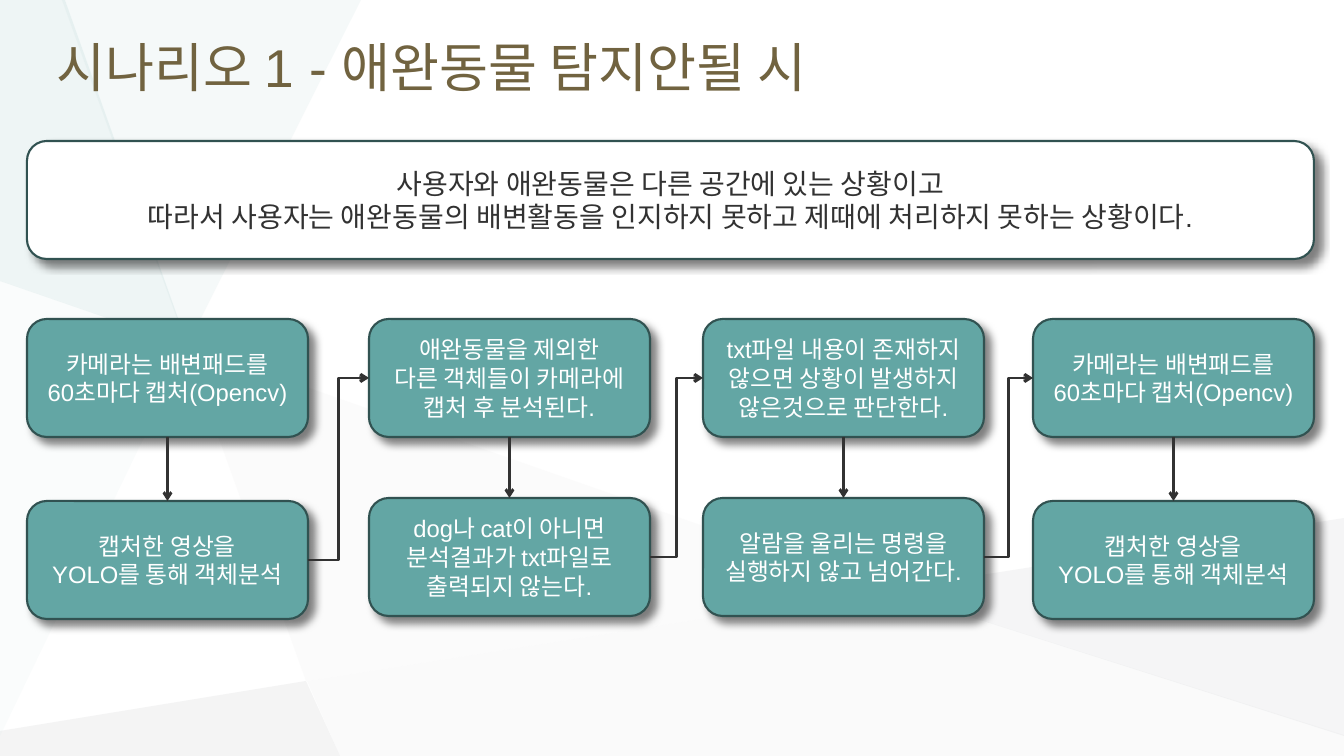
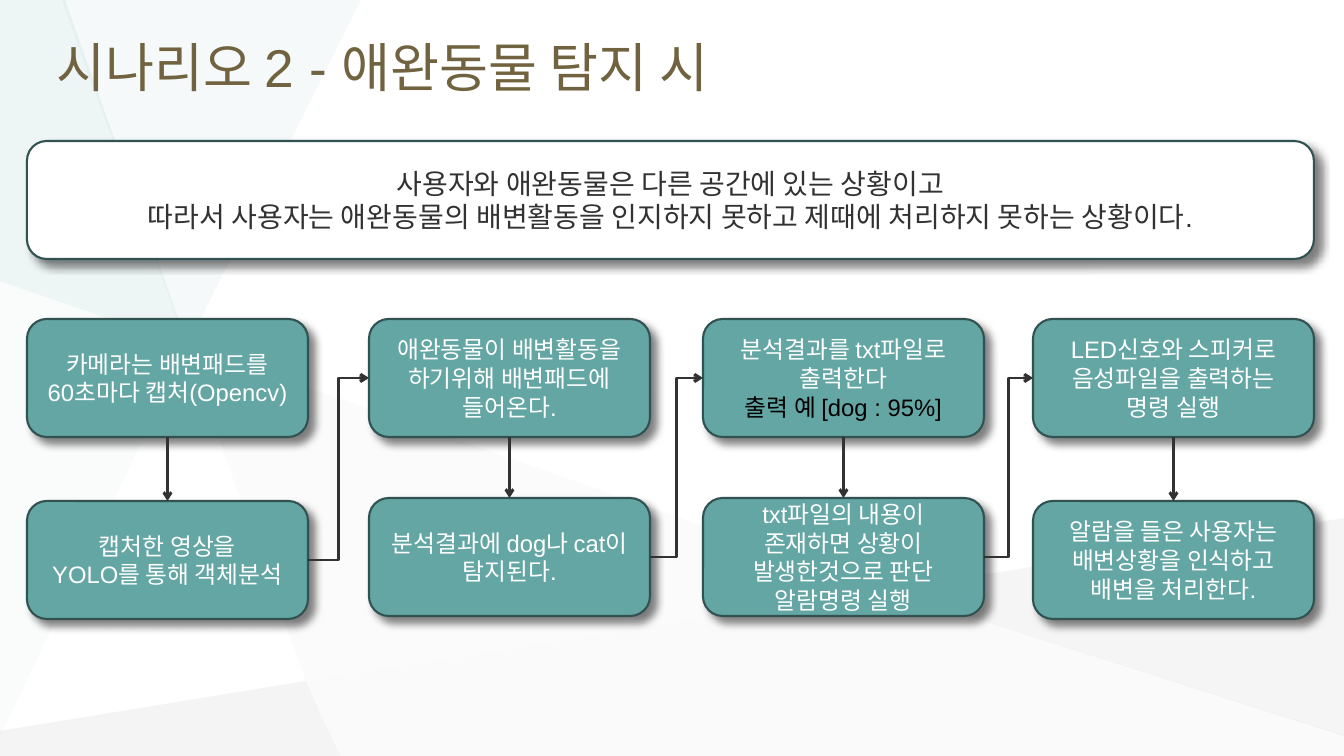
from lxml import etree
from pptx import Presentation
from pptx.dml.color import RGBColor
from pptx.enum.shapes import MSO_CONNECTOR, MSO_SHAPE
from pptx.enum.text import MSO_ANCHOR, PP_ALIGN
from pptx.oxml.ns import qn
from pptx.util import Pt

ROUND = MSO_SHAPE.ROUNDED_RECTANGLE
STRAIGHT, ELBOW = MSO_CONNECTOR.STRAIGHT, MSO_CONNECTOR.ELBOW
LEFT, CENTER, MIDDLE = PP_ALIGN.LEFT, PP_ALIGN.CENTER, MSO_ANCHOR.MIDDLE
TOP_SITE, LEFT_SITE, BOTTOM_SITE, RIGHT_SITE = range(4)

SITUATION = [
    "사용자와 애완동물은 다른 공간에 있는 상황이고",
    "따라서 사용자는 애완동물의 배변활동을 인지하지 못하고 제때에 처리하지 못하는 상황이다.",
]
CAPTURE = ["카메라는 배변패드를", "60초마다 캡처(Opencv)"]
ANALYSE = ["캡처한 영상을", "YOLO를 통해 객체분석"]
EXAMPLE = "출력 예 [dog : 95%]"

SCENARIOS = [
    ("시나리오 1 - 애완동물 탐지안될 시", [
        (CAPTURE, ANALYSE),
        (["애완동물을 제외한", "다른 객체들이 카메라에", "캡처 후 분석된다."],
         ["dog나 cat이 아니면", "분석결과가 txt파일로", "출력되지 않는다."]),
        (["txt파일 내용이 존재하지", "않으면 상황이 발생하지 않은것으로 판단한다."],
         ["알람을 울리는 명령을", "실행하지 않고 넘어간다."]),
        (CAPTURE, ANALYSE),
    ]),
    ("시나리오 2 - 애완동물 탐지 시", [
        (CAPTURE, ANALYSE),
        (["애완동물이 배변활동을", "하기위해 배변패드에", "들어온다."],
         ["분석결과에 dog나 cat이", "탐지된다."]),
        (["분석결과를 txt파일로", "출력한다", EXAMPLE],
         ["txt파일의 내용이", "존재하면 상황이 발생한것으로 판단 알람명령 실행"]),
        (["LED신호와 스피커로", "음성파일을 출력하는", "명령 실행"],
         ["알람을 들은 사용자는", "배변상황을 인식하고", "배변을 처리한다."]),
    ]),
]

COLORS = {
    "title": "716340", "teal": "63A6A4", "edge": "315251", "dark": "323232",
    "white": "FFFFFF", "black": "000000", "mist": "F3F2F2", "gray": "B6B8BA",
    "silver": "C6C8CA", "pale": "E0EDED", "mint": "C1DBDB",
}
STYLES = {
    "title": {"size": 38, "color": "title", "align": LEFT},
    "banner": {"size": 20, "color": "dark", "align": CENTER},
    "step": {"size": 17, "color": "white", "align": CENTER},
}
FACETS = [
    ("mist", 26, [(192, 347), (207, 405), (306, 681), (886, 590)]),
    ("gray", 15, [(306, 681), (0, 731), (0, 756), (340, 756)]),
    ("pale", 31, [(361, 0), (62, 0), (187, 346)]),
    ("silver", 17, [(1344, 518), (886, 590), (1344, 736)]),
    ("gray", 6, [(886, 590), (307, 681), (340, 756), (1344, 756), (1344, 735)]),
    ("mint", 27, [(65, 0), (0, 0), (0, 281), (188, 346)]),
    ("mint", 8, [(0, 281), (0, 736), (188, 346)]),
]
PX = 914400 / 100.8
WIDTH, HEIGHT = 1344, 756
TITLE = (47, 14, 1246, 104)
BANNER = (27, 141, 1287, 118)
STEP_W, STEP_H, UPPER_Y = 281, 118, 319
COLUMNS = [(27, 501), (369, 498), (703, 498), (1033, 501)]


def emu(*lengths):
    return [round(v * PX) for v in lengths]


def rgb(name):
    return RGBColor.from_string(COLORS[name])


def add_alpha(parent, percent):
    clr = parent.find(".//" + qn("a:srgbClr"))
    etree.SubElement(clr, qn("a:alpha"), val=str(percent * 1000))


def add_facet(s, color, alpha, points):
    builder = s.shapes.build_freeform(*points[0], scale=PX)
    builder.add_line_segments(points[1:], close=True)
    sp = builder.convert_to_shape()
    sp.shadow.inherit = False
    sp.fill.solid()
    sp.fill.fore_color.rgb = rgb(color)
    sp.line.fill.background()
    add_alpha(sp.fill._xPr, alpha)


def write(sp, lines, style):
    tf = sp.text_frame
    tf.word_wrap = True
    tf.vertical_anchor = MIDDLE
    for i, line in enumerate(lines):
        p = tf.paragraphs[0] if i == 0 else tf.add_paragraph()
        p.alignment = style["align"]
        r = p.add_run()
        r.text = line
        for name, value in {"name": "Arial", "size": Pt(style["size"])}.items():
            setattr(r.font, name, value)
        r.font.color.rgb = rgb("black" if line == EXAMPLE else style["color"])


def add_card(s, box, lines, fill, style):
    sp = s.shapes.add_shape(ROUND, *emu(*box))
    sp.shadow.inherit = False
    sp.fill.solid()
    sp.fill.fore_color.rgb = rgb(fill)
    sp.line.color.rgb = rgb("edge")
    sp.line.width = Pt(1.5)
    effects = sp._element.spPr.find(qn("a:effectLst"))
    shadow = etree.SubElement(
        effects, qn("a:outerShdw"), blurRad=str(Pt(6)), dist=str(Pt(6)),
        dir="2700000", algn="tl", rotWithShape="0")
    etree.SubElement(shadow, qn("a:srgbClr"), val=COLORS["black"])
    add_alpha(shadow, 50)
    write(sp, lines, style)
    return sp


def add_arrow(s, kind, start, start_site, end, end_site):
    cx = s.shapes.add_connector(kind, 0, 0, 0, 0)
    cx.begin_connect(start, start_site)
    cx.end_connect(end, end_site)
    cx.line.color.rgb = rgb("dark")
    cx.line.width = Pt(2)
    etree.SubElement(cx.line._get_or_add_ln(), qn("a:tailEnd"), type="arrow")
    etree.SubElement(cx._element.spPr, qn("a:effectLst"))


def add_scenario(prs, title, steps):
    s = prs.slides.add_slide(prs.slide_layouts[6])
    for facet in FACETS:
        add_facet(s, *facet)
    write(s.shapes.add_textbox(*emu(*TITLE)), [title], STYLES["title"])
    add_card(s, BANNER, SITUATION, "white", STYLES["banner"])
    previous = None
    for (x, lower_y), texts in zip(COLUMNS, steps):
        upper, lower = [
            add_card(s, (x, y, STEP_W, STEP_H), lines, "teal", STYLES["step"])
            for y, lines in zip((UPPER_Y, lower_y), texts)]
        add_arrow(s, STRAIGHT, upper, BOTTOM_SITE, lower, TOP_SITE)
        if previous is not None:
            add_arrow(s, ELBOW, previous, RIGHT_SITE, upper, LEFT_SITE)
        previous = lower


prs = Presentation()
prs.slide_width, prs.slide_height = emu(WIDTH, HEIGHT)
for title, steps in SCENARIOS:
    add_scenario(prs, title, steps)
prs.save("out.pptx")
